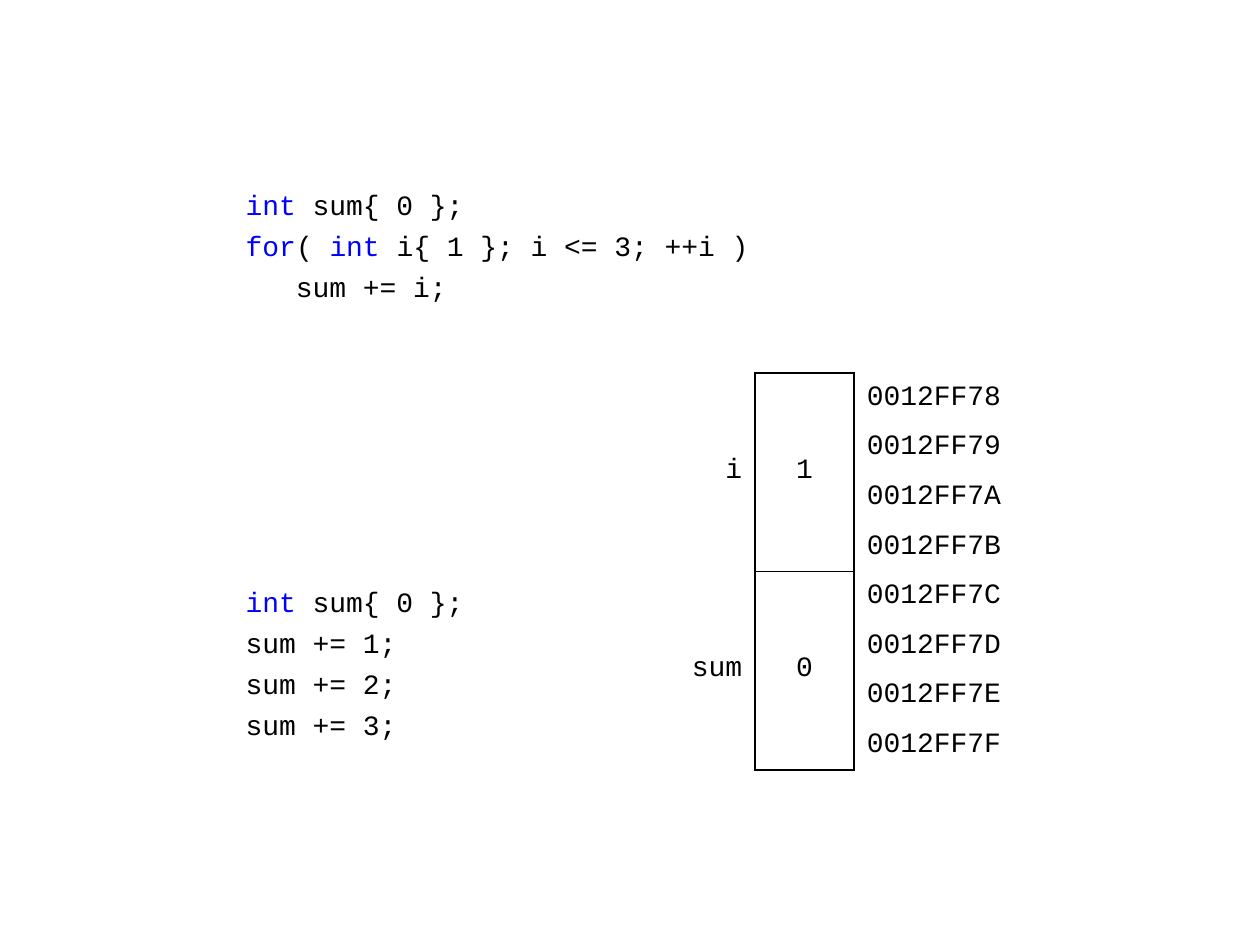
from lxml.etree import SubElement
from pptx import Presentation
from pptx.dml.color import RGBColor
from pptx.enum.text import MSO_ANCHOR, MSO_AUTO_SIZE, PP_ALIGN
from pptx.oxml.ns import qn
from pptx.util import Inches, Pt

COLORS = {"text": "000000", "keyword": "0000FF", "line": "000000"}
FONT = "Courier New"
KEYWORDS = ("int", "for")
LINE_GAP, BLOCK_GAP = Pt(4.2), Pt(161)

# Each code line is a list of runs; keywords stand in runs of their own.
CODE_BLOCKS = [
    [
        ["int", " sum{ 0 };"],
        ["for", "( ", "int", " i{ 1 }; i <= 3; ++i )"],
        ["   sum += i;"],
    ],
    [
        ["int", " sum{ 0 };"],
        ["sum += 1;"],
        ["sum += 2;"],
        ["sum += 3;"],
    ],
]
VARIABLES = [("i", "1"), ("sum", "0")]
BYTES_PER_INT = 4
FIRST_ADDRESS = 0x0012FF78


def set_borders(cell, widths):
    """Draw the sides named in widths (points) and hide the others."""
    properties = cell._tc.get_or_add_tcPr()
    for side in ("L", "R", "T", "B"):
        line = SubElement(properties, qn(f"a:ln{side}"))
        if side in widths:
            line.set("w", str(Pt(widths[side])))
            fill = SubElement(line, qn("a:solidFill"))
            SubElement(fill, qn("a:srgbClr")).set("val", COLORS["line"])
        else:
            SubElement(line, qn("a:noFill"))


def format_font(font, color):
    font.name = FONT
    font.size = Pt(16)
    font.color.rgb = RGBColor.from_string(COLORS[color])


presentation = Presentation()
presentation.slide_width, presentation.slide_height = Inches(10), Inches(7.5)
slide = presentation.slides.add_slide(presentation.slide_layouts[1])
title = slide.shapes.title
title.element.getparent().remove(title.element)

# Code listing
code = slide.placeholders[1]
code.left, code.top = Inches(1.85), Inches(1.44)
code.width, code.height = Inches(4.33), Inches(4.68)
text_frame = code.text_frame
text_frame.word_wrap = True
text_frame.auto_size = MSO_AUTO_SIZE.NONE
text_frame.vertical_anchor = MSO_ANCHOR.TOP

for block_index, block in enumerate(CODE_BLOCKS):
    for line_index, pieces in enumerate(block):
        if block_index == line_index == 0:
            paragraph = text_frame.paragraphs[0]
            paragraph.space_before = Pt(0)
        else:
            paragraph = text_frame.add_paragraph()
            paragraph.space_before = LINE_GAP if line_index else BLOCK_GAP
        properties = paragraph._p.get_or_add_pPr()
        properties.set("marL", "0")
        properties.set("indent", "0")
        SubElement(properties, qn("a:buNone"))
        for piece in pieces:
            run = paragraph.add_run()
            run.text = piece
            format_font(run.font, "keyword" if piece in KEYWORDS else "text")

# Memory table: name, value, address of each byte
row_count = len(VARIABLES) * BYTES_PER_INT
frame = slide.shapes.add_table(
    row_count, 3, Inches(5.2), Inches(2.96), Inches(2.95), Inches(3.15)
)
table = frame.table
table.first_row = table.horz_banding = False
for column, width in zip(table.columns, (0.79, 0.79, 1.38)):
    column.width = Inches(width)
for row in table.rows:
    row.height = Inches(3.15 / row_count)

for index, (name, value) in enumerate(VARIABLES):
    top = index * BYTES_PER_INT
    for column_index, text in enumerate((name, value)):
        cell = table.cell(top, column_index)
        cell.merge(table.cell(top + BYTES_PER_INT - 1, column_index))
        cell.text = text

for row_index in range(row_count):
    table.cell(row_index, 2).text = f"{FIRST_ADDRESS + row_index:08X}"
    value_borders = {"L": 1.5, "R": 1.5}
    if row_index % BYTES_PER_INT == 0:
        value_borders["T"] = 1 if row_index else 1.5
    if (row_index + 1) % BYTES_PER_INT == 0:
        value_borders["B"] = 1 if row_index < row_count - 1 else 1.5
    if table.cell(row_index, 1).is_merge_origin:
        value_borders["B"] = 1 if row_index == 0 else 1.5

    columns = [
        (PP_ALIGN.RIGHT, {"R": 1.5}, 0, 0.02),
        (PP_ALIGN.CENTER, value_borders, 0, 0.02),
        (PP_ALIGN.LEFT, {"L": 1.5}, 0.04, 0.04),
    ]
    for column_index, (alignment, borders, above, below) in enumerate(columns):
        cell = table.cell(row_index, column_index)
        set_borders(cell, borders)
        cell.fill.background()
        cell.margin_top, cell.margin_bottom = Inches(above), Inches(below)
        cell.vertical_anchor = MSO_ANCHOR.MIDDLE
        paragraph = cell.text_frame.paragraphs[0]
        paragraph.alignment = alignment
        format_font(paragraph.font, "text")

presentation.save("out.pptx")
